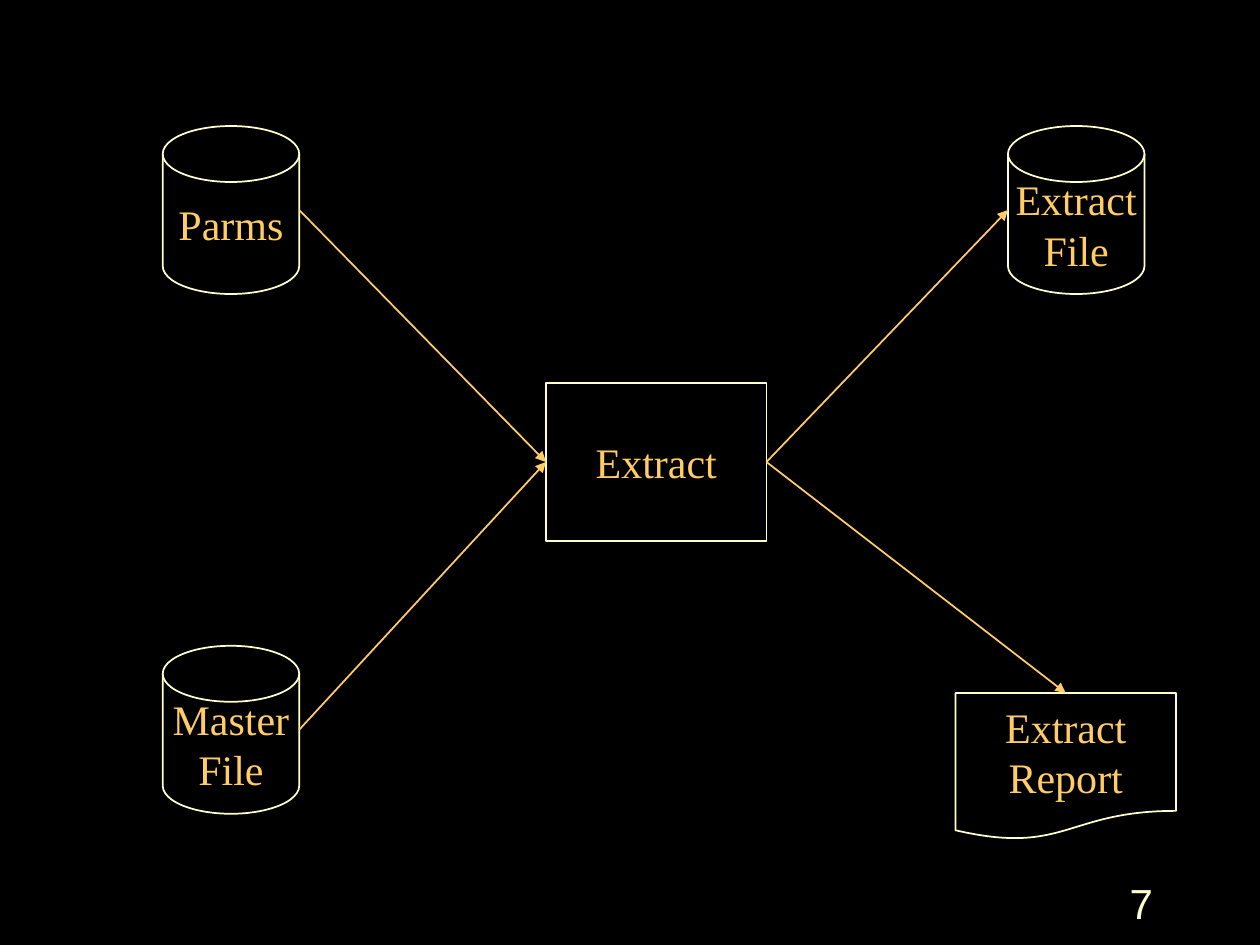
from lxml.etree import SubElement
from pptx import Presentation
from pptx.dml.color import RGBColor
from pptx.enum.shapes import MSO_CONNECTOR as LINE, MSO_SHAPE as SHAPE
from pptx.enum.text import MSO_ANCHOR as ANCHOR, PP_ALIGN as ALIGN
from pptx.oxml.ns import qn
from pptx.util import Inches, Pt

COLORS = {"background": "000000", "outline": "FFFFCC", "label": "FFCC66"}
COLUMNS, ROWS = 240, 180
CELL = Inches(10) // COLUMNS
TOP, LEFT, RIGHT = 0, 1, 3
DISK, BOX = (26, 32), (42, 30)


def rgb(name):
    """Return the named colour of the palette."""
    return RGBColor.from_string(COLORS[name])


def write(sp, text, font, color, align):
    """Fill a shape with middle-anchored 24 point text."""
    tf = sp.text_frame
    tf.text = text
    tf.vertical_anchor = ANCHOR.MIDDLE
    for p in tf.paragraphs:
        p.alignment = align
        for r in p.runs:
            r.font.size = Pt(24)
            r.font.name = font
            r.font.color.rgb = rgb(color)
    return tf


def add_node(slide, kind, text, col, row, size):
    """Add an outlined flowchart symbol with a centred label."""
    sp = slide.shapes.add_shape(kind, *(n * CELL for n in (col, row, *size)))
    sp.shadow.inherit = False
    sp.fill.background()
    sp.line.color.rgb = rgb("outline")
    sp.line.width = Pt(1)
    write(sp, text, "Times New Roman", "label", ALIGN.CENTER).word_wrap = False
    return sp


def side(sp, site):
    """Return the middle of a shape's top, left or right side."""
    if site == TOP:
        return sp.left + sp.width // 2, sp.top
    x = sp.left if site == LEFT else sp.left + sp.width
    return x, sp.top + sp.height // 2


def add_arrow(slide, source, start, target, end):
    """Draw an arrow between two sides, joined to every symbol but disks."""
    line = slide.shapes.add_connector(
        LINE.STRAIGHT, *side(source, start), *side(target, end))
    disk = SHAPE.FLOWCHART_MAGNETIC_DISK
    if source.auto_shape_type != disk:
        line.begin_connect(source, start)
    if target.auto_shape_type != disk:
        line.end_connect(target, end)
    line.line.color.rgb = rgb("label")
    line.line.width = Pt(1)
    SubElement(line.line._get_or_add_ln(), qn("a:tailEnd"), type="triangle")
    SubElement(line._element.spPr, qn("a:effectLst"))


def add_page_number(slide, number):
    """Add the page number at the lower right."""
    sp = slide.shapes.add_textbox(*(n * CELL for n in (172, 166, 50, 12)))
    write(sp, str(number), "Arial", "outline", ALIGN.RIGHT).word_wrap = True


def main():
    """Build the extract flowchart slide."""
    prs = Presentation()
    prs.slide_width, prs.slide_height = COLUMNS * CELL, ROWS * CELL
    slide = prs.slides.add_slide(prs.slide_layouts[6])
    fill = slide.background.fill
    fill.solid()
    fill.fore_color.rgb = rgb("background")

    disk = SHAPE.FLOWCHART_MAGNETIC_DISK
    extract = add_node(slide, SHAPE.FLOWCHART_PROCESS, "Extract", 104, 73, BOX)
    parms = add_node(slide, disk, "Parms", 31, 24, DISK)
    master = add_node(slide, disk, "Master\nFile", 31, 123, DISK)
    extract_file = add_node(slide, disk, "Extract\nFile", 192, 24, DISK)
    report = add_node(slide, SHAPE.FLOWCHART_DOCUMENT, "Extract\nReport",
                      182, 132, (42, 28))

    for source in (master, parms):
        add_arrow(slide, source, RIGHT, extract, LEFT)
    for target, end in ((extract_file, LEFT), (report, TOP)):
        add_arrow(slide, extract, RIGHT, target, end)
    add_page_number(slide, 7)
    prs.save("out.pptx")


if __name__ == "__main__":
    main()
